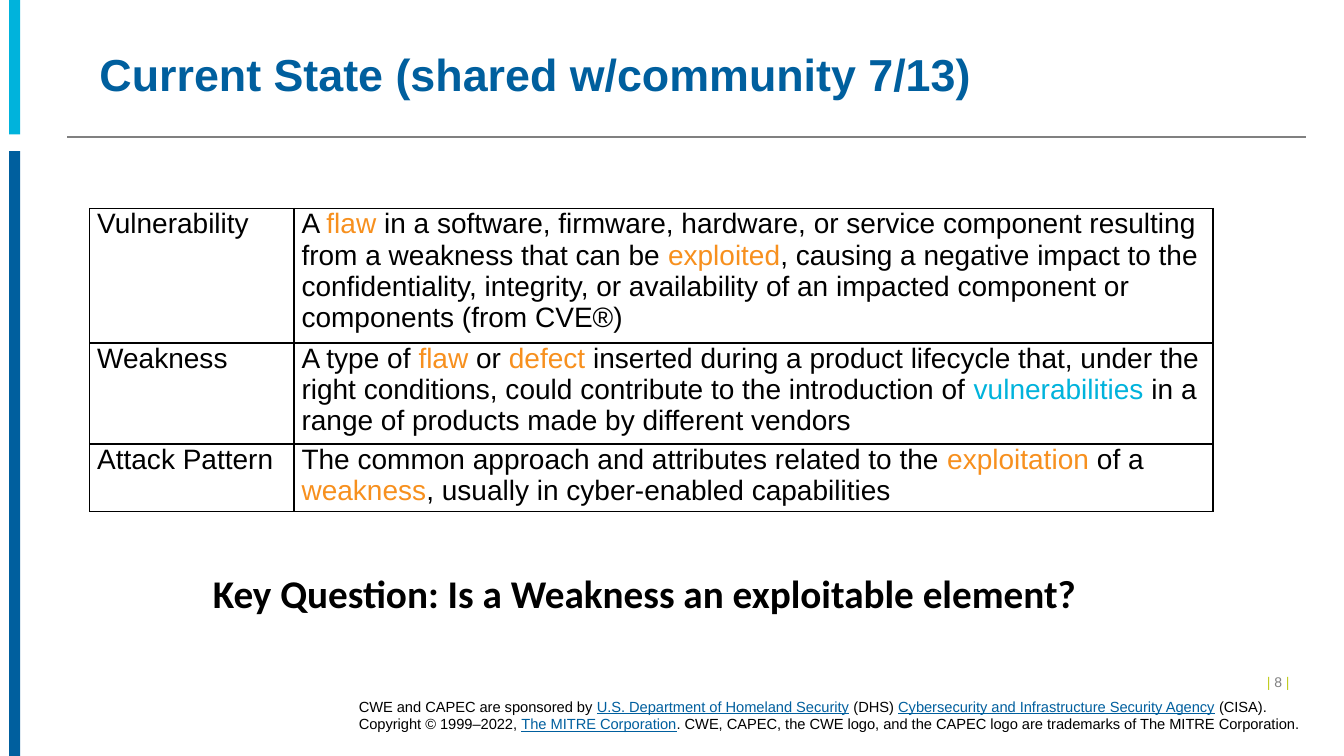
from lxml import etree
from pptx import Presentation
from pptx.dml.color import RGBColor
from pptx.enum import shapes, text
from pptx.oxml import ns
from pptx.util import Pt

COLORS = {
    "black": "000000", "blue": "005F9E", "cyan": "00B3DC", "gray": "808080",
    "lime": "C1CD23", "orange": "F7901E",
}
TITLE = {"name": "Arial", "size": Pt(32), "bold": True}
BODY = {"name": "Arial", "size": Pt(20)}
QUESTION = {"name": "Calibri", "size": Pt(28), "bold": True}
FOOTER = {"name": "Arial", "size": Pt(10.5)}
NUMBER = {"name": "Arial", "size": Pt(10)}

# Each piece of text is a pair: wording, colour name.
DEFINITIONS = [
    ("Vulnerability", [
        ("A ", "black"), ("flaw", "orange"),
        (" in a software, firmware, hardware, or service component resulting "
         "from a weakness that can be ", "black"),
        ("exploited", "orange"),
        (", causing a negative impact to the confidentiality, integrity, or "
         "availability of an impacted component or components (from CVE®)", "black"),
    ]),
    ("Weakness", [
        ("A type of ", "black"), ("flaw", "orange"), (" or ", "black"),
        ("defect ", "orange"),
        ("inserted during a product lifecycle that, under the right conditions, "
         "could contribute to the introduction of ", "black"),
        ("vulnerabilities", "cyan"),
        (" in a range of products made by different vendors", "black"),
    ]),
    ("Attack Pattern", [
        ("The common approach and attributes related to the ", "black"),
        ("exploitation ", "orange"), ("of a ", "black"), ("weakness", "orange"),
        (", usually in cyber-enabled capabilities", "black"),
    ]),
]
SPONSORS = [
    ("CWE and CAPEC are sponsored by ", "black"),
    ("U.S. Department of Homeland Security", "blue"),
    (" (DHS) ", "black"),
    ("Cybersecurity and Infrastructure Security Agency", "blue"),
    (" (CISA). Copyright © 1999–2022, ", "black"),
    ("The MITRE Corporation", "blue"),
    (". CWE, CAPEC, the CWE logo, and the CAPEC logo are trademarks of "
     "The MITRE Corporation.", "black"),
]


def rgb(name):
    return RGBColor.from_string(COLORS[name])


def assign(target, values):
    for name, value in values.items():
        setattr(target, name, value)


def write(para, pieces, style, underlined=None):
    """Add coloured spans, underlining those of one colour."""
    for wording, color in pieces:
        span = para.add_run()
        span.text = wording
        assign(span.font, style)
        span.font.color.rgb = rgb(color)
        if color == underlined:
            span.font.underline = True


def add_text(page, box, pieces, style, underlined=None, frame=None, para=None):
    """Add a wrapping text box; frame and para hold extra format values."""
    text_frame = page.shapes.add_textbox(*map(Pt, box)).text_frame
    assign(text_frame, {"word_wrap": True, **(frame or {})})
    first = text_frame.paragraphs[0]
    assign(first, para or {})
    write(first, pieces, style, underlined)


def add_side_bars(page, left, top, width, height):
    """Draw a short and a long bar, one above the other."""
    short, gap = 96, 12
    bars = [(top, short, "cyan"),
            (top + short + gap, height - short - gap, "blue")]
    for bar_top, bar_height, color in bars:
        bar = page.shapes.add_shape(
            shapes.MSO_SHAPE.RECTANGLE,
            *map(Pt, (left, bar_top, width, bar_height)))
        bar.shadow.inherit = False
        bar.fill.solid()
        bar.fill.fore_color.rgb = rgb(color)
        bar.line.fill.background()


def add_heading(page, left, top, width, height):
    """Place the title with a rule at the foot of the box."""
    add_text(page, (left + 16, top, 734, 68),
             [("Current State (shared w/community 7/13)", "blue")], TITLE,
             frame={"vertical_anchor": text.MSO_ANCHOR.MIDDLE},
             para={"line_spacing": Pt(32)})
    bottom = top + height
    rule = page.shapes.add_connector(
        shapes.MSO_CONNECTOR.STRAIGHT,
        *map(Pt, (left, bottom, left + width, bottom)))
    rule.line.color.rgb = rgb("gray")
    rule.line.width = Pt(1)
    etree.SubElement(rule._element.spPr, ns.qn("a:effectLst"))


def add_borders(cell):
    properties = cell._tc.get_or_add_tcPr()
    for side in "LRTB":
        border = etree.SubElement(properties, ns.qn(f"a:ln{side}"), w=str(Pt(1)))
        fill = etree.SubElement(border, ns.qn("a:solidFill"))
        etree.SubElement(fill, ns.qn("a:srgbClr"), val=COLORS["black"])


def add_definitions(page, left, top, width, height):
    table = page.shapes.add_table(
        len(DEFINITIONS), 2, *map(Pt, (left, top, width, height))).table
    assign(table, {"first_row": False, "horz_banding": False})
    term_width = 146
    for column, size in zip(table.columns, (term_width, width - term_width)):
        column.width = Pt(size)
    for row, size in zip(table.rows, (36.5, 31.5, 31.5)):
        row.height = Pt(size)
    for row, (term, meaning) in zip(table.rows, DEFINITIONS):
        for cell, pieces in zip(row.cells, ([(term, "black")], meaning)):
            assign(cell, {"margin_left": Pt(5.4), "margin_right": Pt(5.4),
                          "margin_top": 0, "margin_bottom": 0})
            add_borders(cell)
            cell.fill.background()
            write(cell.text_frame.paragraphs[0], pieces, BODY)


def add_footer(page, left, top, width, height):
    """Place the page number above the sponsor lines."""
    add_text(page, (left + width - 63.5, top, 52, 14.4),
             [("| ", "lime"), ("8 ", "gray"), ("|", "lime")], NUMBER,
             frame={"vertical_anchor": text.MSO_ANCHOR.BOTTOM},
             para={"alignment": text.PP_ALIGN.RIGHT})
    sides = ("left", "right", "top", "bottom")
    add_text(page, (left, top + 12.2, width, height - 12.2), SPONSORS, FOOTER,
             underlined="blue",
             frame={f"margin_{side}": Pt(3.6) for side in sides})


def main():
    deck = Presentation()
    assign(deck, {"slide_width": Pt(960), "slide_height": Pt(540)})
    page = deck.slides.add_slide(deck.slide_layouts[6])
    add_side_bars(page, 6.5, 0, 8, 540)
    add_heading(page, 48, 21.5, 885, 76.5)
    add_definitions(page, 64, 149, 802.5, 99.5)
    add_text(page, (145, 403, 702, 41),
             [("Key Question: Is a Weakness an exploitable element?", "black")],
             QUESTION)
    add_footer(page, 252.7, 482.4, 687, 44.6)
    deck.save("out.pptx")


if __name__ == "__main__":
    main()
